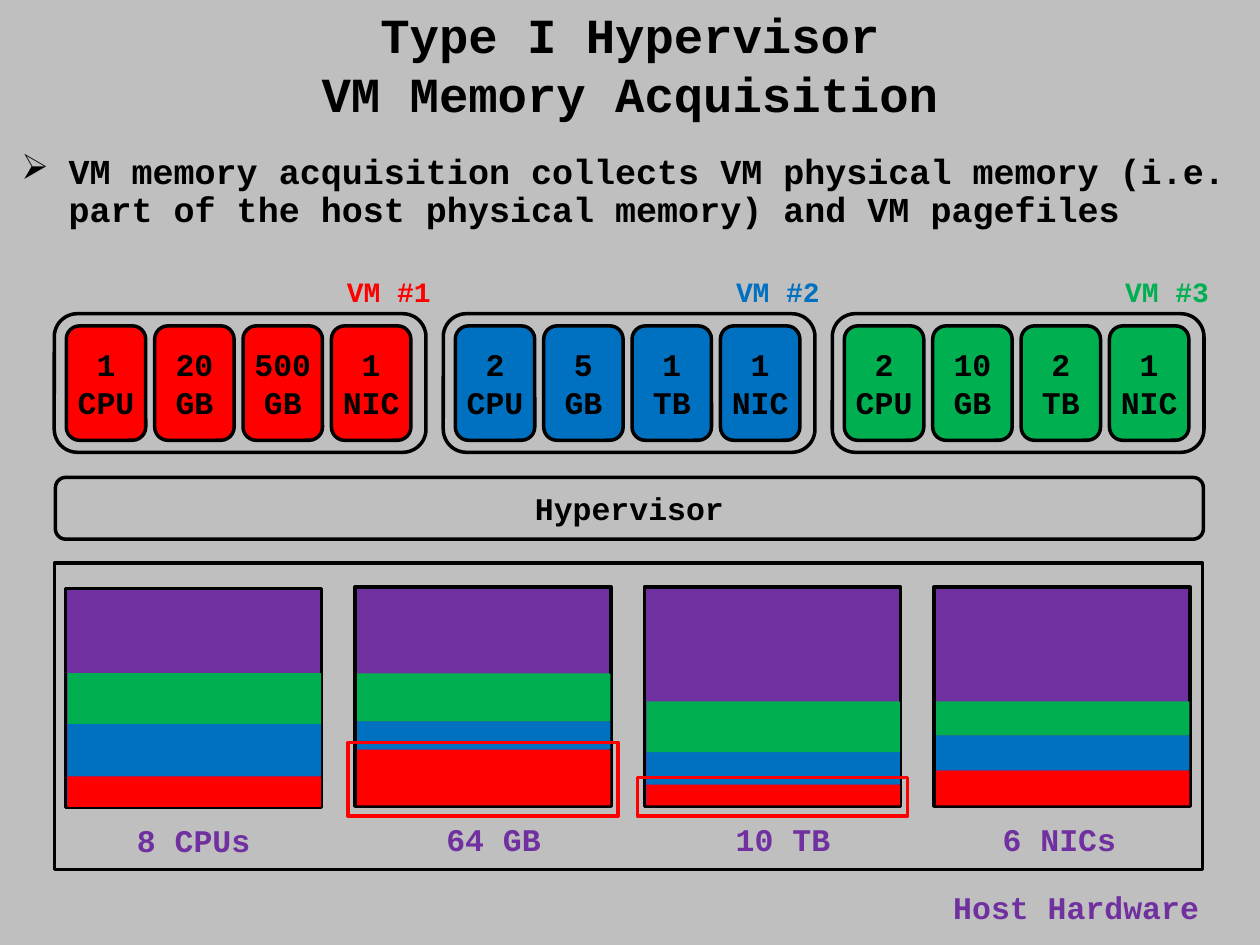
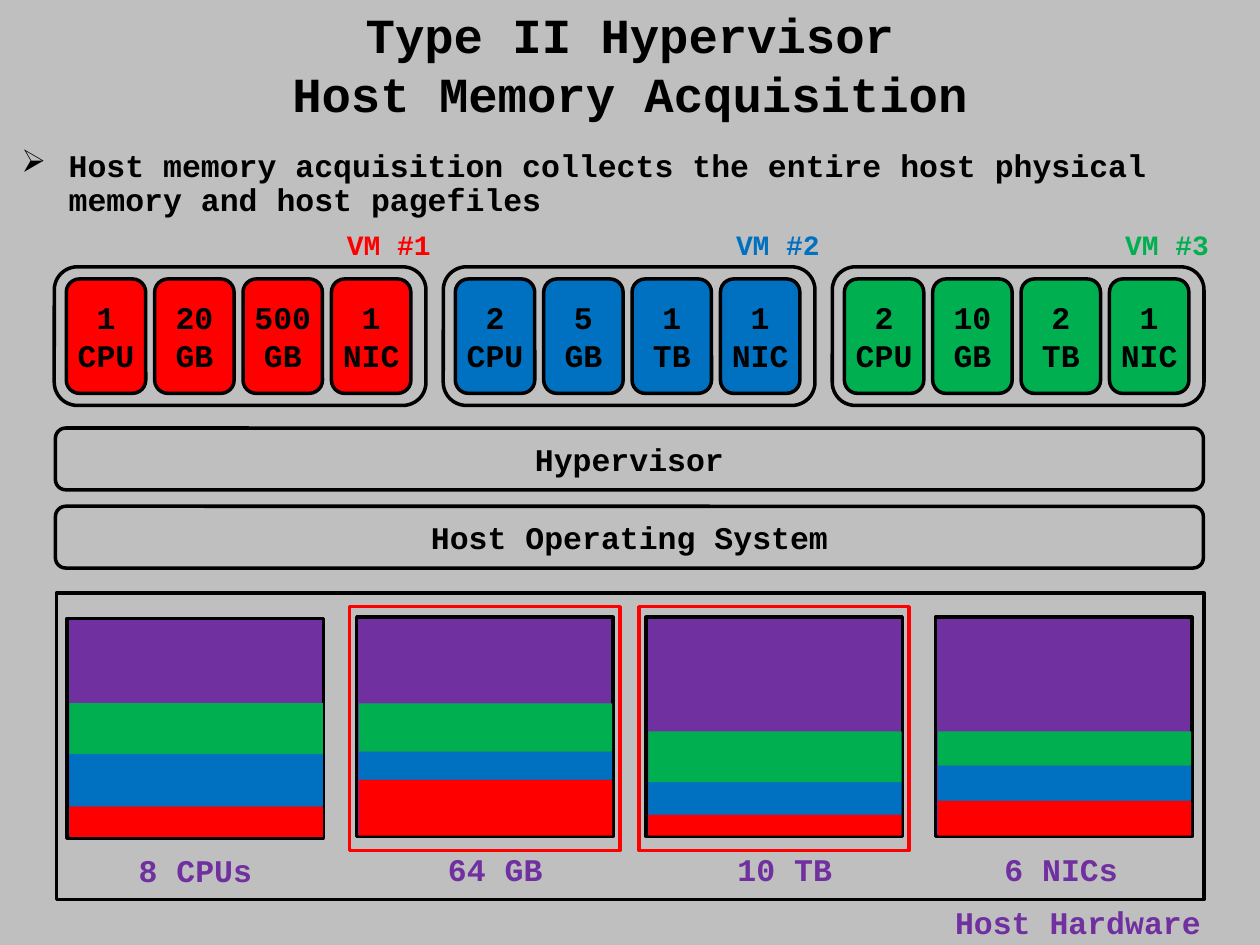
from dataclasses import dataclass
from typing import NamedTuple, Optional

from lxml.etree import SubElement
from pptx import Presentation
from pptx.dml.color import RGBColor
from pptx.enum.shapes import MSO_SHAPE
from pptx.enum.text import MSO_ANCHOR, MSO_AUTO_SIZE, PP_ALIGN
from pptx.oxml.ns import qn
from pptx.shapes.autoshape import Shape
from pptx.slide import Slide
from pptx.util import Pt

FONT = "Courier New"
BLACK, GREY, PURPLE = "000000", "BFBFBF", "7030A0"
RED, BLUE, GREEN = "FF0000", "0070C0", "00B050"


class Box(NamedTuple):
    left: float
    top: float
    width: float
    height: float


@dataclass(frozen=True)
class VirtualMachine:
    name: str
    color: str
    resources: tuple[str, ...]


@dataclass(frozen=True)
class HostResource:
    capacity: str
    label_shift: float
    shares: tuple[float, float, float]
    acquired: bool = False


@dataclass(frozen=True)
class Layer:
    name: str
    top: float


@dataclass(frozen=True)
class AcquisitionSlide:
    title: str
    summary: str
    summary_size: float
    summary_top: float
    vm_top: float
    layers: tuple[Layer, ...]
    host_left: float
    host_top: float
    caption_top: float
    whole_host: bool


MACHINES = (
    VirtualMachine("VM #1", RED, ("1\nCPU", "20\nGB", "500\nGB", "1\nNIC")),
    VirtualMachine("VM #2", BLUE, ("2\nCPU", "5\nGB", "1\nTB", "1\nNIC")),
    VirtualMachine("VM #3", GREEN, ("2\nCPU", "10\nGB", "2\nTB", "1\nNIC")),
)
HOST_RESOURCES = (
    HostResource("8 CPUs", 0, (17.5, 30, 29)),
    HostResource("64 GB", 6, (32, 16, 27.5), acquired=True),
    HostResource("10 TB", 6, (12, 18.5, 29), acquired=True),
    HostResource("6 NICs", -1.5, (20, 20, 19.5)),
)
SLIDES = (
    AcquisitionSlide(
        "Type I Hypervisor\nVM Memory Acquisition",
        "VM memory acquisition collects VM physical memory (i.e. part of the host "
        "physical memory) and VM pagefiles",
        20, 88, 179.3, (Layer("Hypervisor", 272.8),), 31.2, 321.8, 504, False),
    AcquisitionSlide(
        "Type II Hypervisor\nHost Memory Acquisition",
        "Host memory acquisition collects the entire host physical memory and host pagefiles",
        18, 85.7, 152.5, (Layer("Hypervisor", 244.6), Layer("Host Operating System", 289.3)),
        32.2, 339, 512.5, True),
)


def rgb(value: str) -> RGBColor:
    """Turn a hex string into a colour."""
    return RGBColor.from_string(value)


def write(shape: Shape, text: str, size: float, color: str = BLACK,
          align: PP_ALIGN = PP_ALIGN.CENTER) -> None:
    """Fill a shape with bold text in the deck font."""
    shape.text_frame.text = text
    for paragraph in shape.text_frame.paragraphs:
        paragraph.alignment = align
        for run in paragraph.runs:
            run.font.name, run.font.size, run.font.bold = FONT, Pt(size), True
            run.font.color.rgb = rgb(color)


def set_margins(shape: Shape, margin: float) -> None:
    """Give all four text margins one value."""
    frame = shape.text_frame
    frame.margin_left = frame.margin_right = Pt(margin)
    frame.margin_top = frame.margin_bottom = Pt(margin)


def add_block(slide: Slide, box: Box, fill: Optional[str] = None, line: Optional[str] = BLACK,
              rounded: bool = False, text: str = "") -> None:
    """Draw a plain or rounded rectangle with optional centred text."""
    kind = MSO_SHAPE.ROUNDED_RECTANGLE if rounded else MSO_SHAPE.RECTANGLE
    block = slide.shapes.add_shape(kind, *map(Pt, box))
    block.shadow.inherit = False
    if fill:
        block.fill.solid()
        block.fill.fore_color.rgb = rgb(fill)
    else:
        block.fill.background()
    if line:
        block.line.color.rgb = rgb(line)
        block.line.width = Pt(2)
    else:
        block.line.fill.background()
    if text:
        set_margins(block, 0)
        block.text_frame.word_wrap = False
        block.text_frame.vertical_anchor = MSO_ANCHOR.MIDDLE
        write(block, text, 18)


def add_label(slide: Slide, box: Box, text: str, size: float, color: str,
              align: PP_ALIGN = PP_ALIGN.CENTER) -> None:
    """Place a one-line label."""
    label = slide.shapes.add_textbox(*map(Pt, box))
    label.text_frame.word_wrap = False
    write(label, text, size, color, align)


def set_title(slide: Slide, text: str) -> None:
    """Move and format the title placeholder."""
    title = slide.shapes.title
    title.left, title.top, title.width, title.height = map(Pt, Box(91, 8.6, 538, 55.4))
    title.text_frame.vertical_anchor = MSO_ANCHOR.MIDDLE
    title.text_frame.auto_size = MSO_AUTO_SIZE.NONE
    write(title, text, 28)


def add_summary(slide: Slide, content: AcquisitionSlide) -> None:
    """Write the bulleted summary under the title."""
    summary = slide.shapes.add_textbox(*map(Pt, Box(12.2, content.summary_top, 691, 49)))
    set_margins(summary, 0)
    summary.text_frame.word_wrap = True
    write(summary, content.summary, content.summary_size, align=PP_ALIGN.LEFT)
    paragraph = summary.text_frame.paragraphs[0]
    paragraph.line_spacing = 0.9
    paragraph.space_before = Pt(10)
    properties = paragraph._p.get_or_add_pPr()
    properties.set("marL", str(Pt(27)))
    properties.set("indent", str(-Pt(27)))
    SubElement(properties, qn("a:buChar")).set("char", "➢")


def add_machine(slide: Slide, machine: VirtualMachine, left: float, top: float) -> None:
    """Draw a virtual machine with its name and resource tiles."""
    add_block(slide, Box(left, top, 212.4, 79.2), rounded=True)
    add_label(slide, Box(left + 160.2, top - 26, 63.4, 26.6), machine.name, 16,
              machine.color, PP_ALIGN.LEFT)
    for column, resource in enumerate(machine.resources):
        add_block(slide, Box(left + 6.9 + column * 50.5, top + 6.9, 45.4, 65.4),
                  machine.color, rounded=True, text=resource)


def add_resource(slide: Slide, resource: HostResource, left: float, top: float) -> Box:
    """Draw a host resource split by machine and return the box of the first share."""
    width, height = 146.4, 125.3
    add_block(slide, Box(left, top, width, height), PURPLE)
    share_top = top + height - 0.5
    for machine, share in zip(MACHINES, resource.shares):
        share_top -= share
        add_block(slide, Box(left + 1.3, share_top, 144.8, share), machine.color, line=None)
    add_label(slide, Box(left + resource.label_shift, top + 129.4, width, 28.8),
              resource.capacity, 18, PURPLE)
    first = resource.shares[0]
    return Box(left, top + height - first, width, first)


def add_host(slide: Slide, content: AcquisitionSlide) -> None:
    """Draw the host hardware and outline the acquired memory."""
    left, top = content.host_left, content.host_top
    add_block(slide, Box(left, top, 656, 175))
    add_label(slide, Box(left + 506, content.caption_top, 155.5, 28.8),
              "Host Hardware", 18, PURPLE)
    for column, resource in enumerate(HOST_RESOURCES):
        resource_left = left + 6.2 + column * 165.4
        resource_top = top + (13.7 if column else 14.5)
        share = add_resource(slide, resource, resource_left, resource_top)
        if resource.acquired:
            above, below = (6, 8) if content.whole_host else (4.5, 5.5)
            first_top = resource_top if content.whole_host else share.top
            outline_top = first_top - above
            outline_bottom = share.top + share.height + below
            add_block(slide, Box(share.left - 4, outline_top, share.width + 8,
                                 outline_bottom - outline_top), line=RED)


def add_acquisition_slide(deck: Presentation, content: AcquisitionSlide) -> None:
    """Build one acquisition slide."""
    slide = deck.slides.add_slide(deck.slide_layouts[5])
    set_title(slide, content.title)
    add_summary(slide, content)
    for column, machine in enumerate(MACHINES):
        add_machine(slide, machine, 31 + column * 222.3, content.vm_top)
    for layer in content.layers:
        add_block(slide, Box(31.7, layer.top, 656, 35.3), rounded=True, text=layer.name)
    add_host(slide, content)


def main() -> None:
    """Build and save the deck."""
    deck = Presentation()
    deck.slide_width, deck.slide_height = Pt(720), Pt(540)
    background = deck.slide_master.background.fill
    background.solid()
    background.fore_color.rgb = rgb(GREY)
    for content in SLIDES:
        add_acquisition_slide(deck, content)
    deck.save("out.pptx")


if __name__ == "__main__":
    main()
